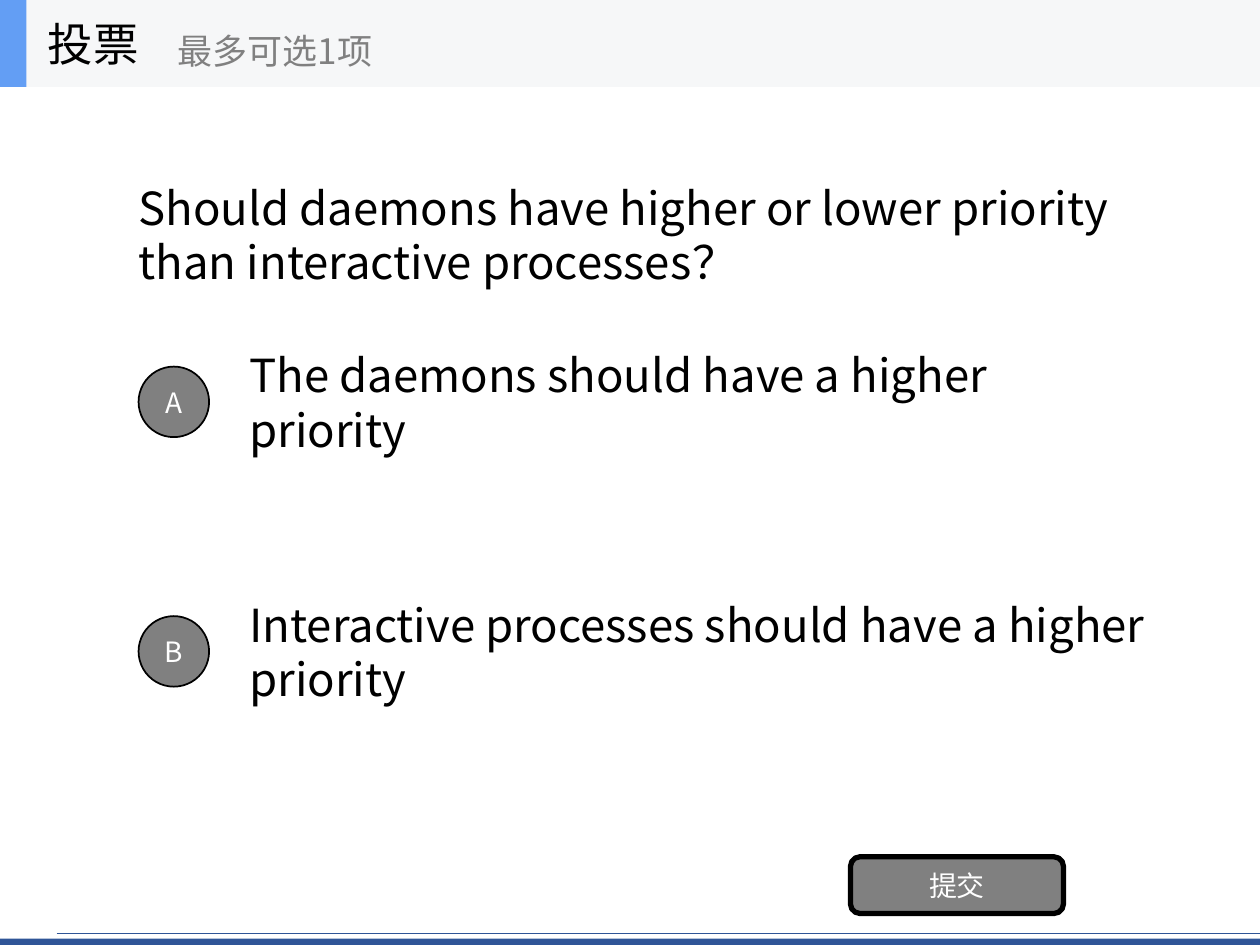
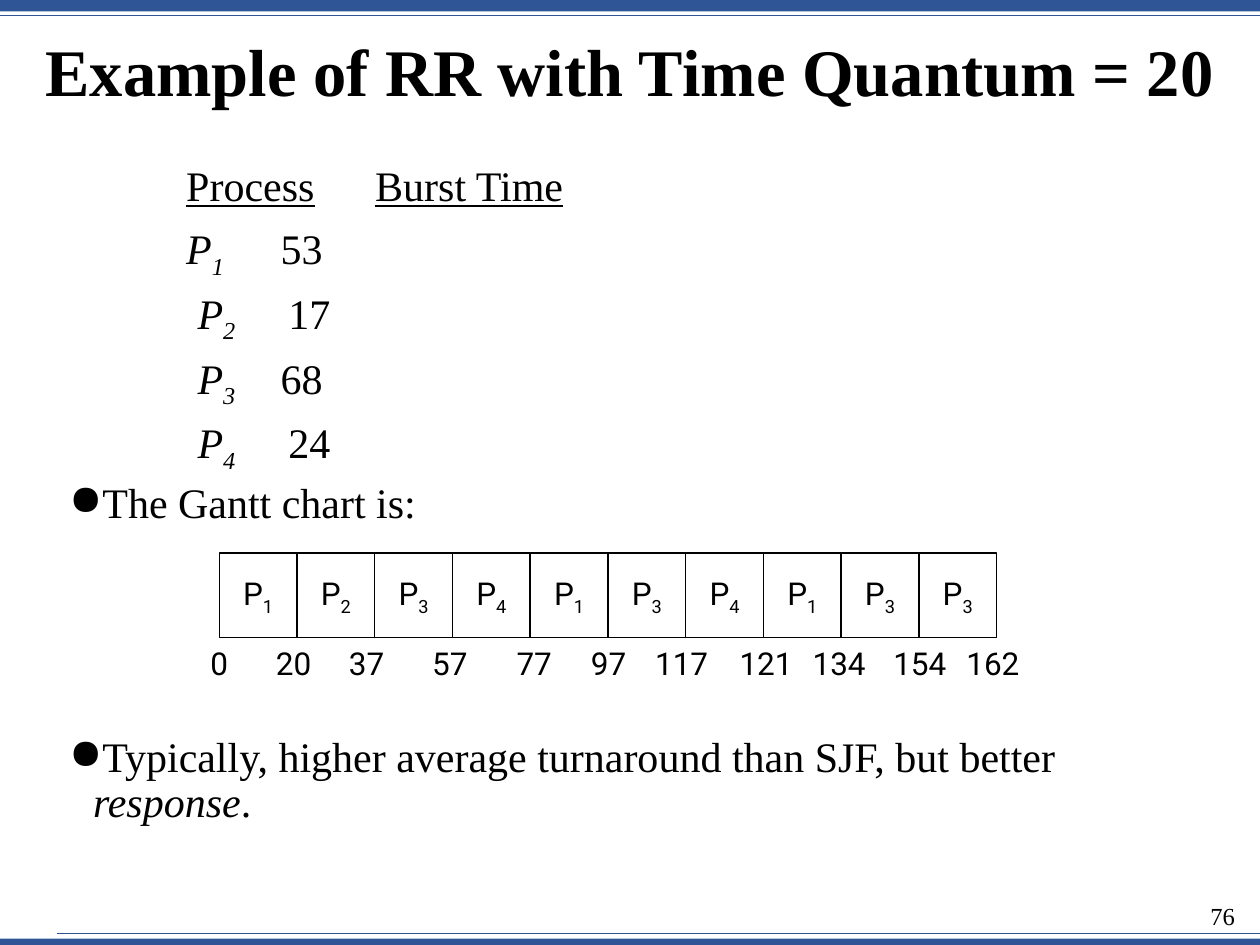
"""Build a poll slide and a round-robin scheduling slide."""
from pptx import Presentation
from pptx.dml.color import RGBColor
from pptx.enum.shapes import MSO_CONNECTOR, MSO_SHAPE
from pptx.enum.text import MSO_ANCHOR, PP_ALIGN
from pptx.oxml.ns import qn
from pptx.util import Inches, Pt
from lxml import etree

RECTANGLE, OVAL, ROUNDED = MSO_SHAPE.RECTANGLE, MSO_SHAPE.OVAL, MSO_SHAPE.ROUNDED_RECTANGLE
LEFT, CENTER, RIGHT = PP_ALIGN.LEFT, PP_ALIGN.CENTER, PP_ALIGN.RIGHT
TOP, MIDDLE = MSO_ANCHOR.TOP, MSO_ANCHOR.MIDDLE
STRAIGHT = MSO_CONNECTOR.STRAIGHT
COLORS = {
    "band": "2F5597", "accent": "639EF4", "header": "F6F7F8",
    "gray": "808080", "black": "000000", "white": "FFFFFF",
}
SANS, GANTT_FONT, SERIF = "Noto Sans CJK SC", "Roboto", "Times New Roman"


def add_box(slide, bounds, kind=None, fill=None, line=None, anchor=MIDDLE, wrap=True):
    """Add a text box, or a filled preset shape when a kind is given."""
    bounds = [Inches(value) for value in bounds]
    if kind is None:
        shape = slide.shapes.add_textbox(*bounds)
    else:
        shape = slide.shapes.add_shape(kind, *bounds)
        shape.shadow.inherit = False
        shape.fill.solid()
        shape.fill.fore_color.rgb = RGBColor.from_string(COLORS[fill])
        if line:
            shape.line.color.rgb = RGBColor.from_string(COLORS["black"])
            shape.line.width = Pt(line)
        else:
            shape.line.fill.background()
    shape.text_frame.word_wrap = wrap
    shape.text_frame.vertical_anchor = anchor
    return shape


def write(paragraph, runs, name, size, color="black", align=LEFT, bold=False):
    """Fill a paragraph with (text, style) runs: i italic, u underlined, s subscript."""
    paragraph.alignment = align
    font = paragraph.font
    font.name, font.size, font.bold = name, Pt(size), bold
    font.color.rgb = RGBColor.from_string(COLORS[color])
    defaults = paragraph._p.pPr.find(qn("a:defRPr"))
    defaults.find(qn("a:latin")).addnext(etree.Element(qn("a:ea"), typeface=name))
    for text, style in runs:
        run = paragraph.add_run()
        run.text = text
        if "i" in style:
            run.font.italic = True
        if "u" in style:
            run.font.underline = True
        if "s" in style:
            run._r.get_or_add_rPr().set("baseline", "-25000")


presentation = Presentation()
presentation.slide_width, presentation.slide_height = Inches(10), Inches(7.5)
blank = presentation.slide_layouts[6]
poll, round_robin = [presentation.slides.add_slide(blank) for _ in range(2)]

for slide in (poll, round_robin):
    for top, height in ((7.45, 0.05), (0, 0.09)):
        add_box(slide, (0, top, 10, height), RECTANGLE, "band")
    for left, top in ((0, 0.12), (0.45, 7.41)):
        rule = slide.shapes.add_connector(STRAIGHT, Inches(left), Inches(top), Inches(10), Inches(top))
        rule.line.color.rgb = RGBColor.from_string(COLORS["band"])
        rule.line.width = Pt(0.5)
        etree.SubElement(rule._element.spPr, qn("a:effectLst"))

question = "Should daemons have higher or lower priority than interactive processes？"
options = [
    ("A", "The daemons should have a higher priority", 2.84, 7),
    ("B", "Interactive processes should have a higher priority", 4.82, 7.66),
]
box = add_box(poll, (1, 0.69, 8, 2.34))
write(box.text_frame.paragraphs[0], [(question, "")], SANS, 26)
for letter, answer, top, width in options:
    box = add_box(poll, (1.88, top, width, 0.7))
    write(box.text_frame.paragraphs[0], [(answer, "")], SANS, 26)
    badge = add_box(poll, (1.1, top + 0.07, 0.56, 0.56), OVAL, "gray", 1)
    write(badge.text_frame.paragraphs[0], [(letter, "")], SANS, 16, "white", CENTER)
button = add_box(poll, (6.75, 6.8, 1.69, 0.45), ROUNDED, "gray", 3)
write(button.text_frame.paragraphs[0], [("提交", "")], SANS, 16, "white", CENTER)

add_box(poll, (0, 0, 10, 0.69), RECTANGLE, "header")
add_box(poll, (0, 0, 0.21, 0.69), RECTANGLE, "accent")
for text, bounds, size, color in (
    ("投票", (0.28, 0, 2.08, 0.69), 26, "black"),
    ("最多可选1项", (1.31, 0.12, 2.5, 0.56), 20, "gray"),
):
    box = add_box(poll, bounds)
    write(box.text_frame.paragraphs[0], [(text, "")], SANS, size, color)

page_number = add_box(round_robin, (9.36, 7.1, 0.54, 0.4), anchor=TOP)
write(page_number.text_frame.paragraphs[0], [("76", "")], SERIF, 14, align=RIGHT)
title = add_box(round_robin, (0, 0, 10, 1.19))
title.text_frame.paragraphs[0].line_spacing = 0.9
write(title.text_frame.paragraphs[0], [("Example of RR with Time Quantum = 20", "")],
      SERIF, 38, align=CENTER, bold=True)

burst_rows = [(1, "53", 0.93, 1.68), (2, "17", 1.02, 1.74), (3, "68", 1.02, 1.68), (4, "24", 1.02, 1.74)]
body_rows = [([("\t", ""), ("Process", "u"), ("\t", ""), ("Burst Time", "u")], (0.93, 2.43), 0)]
for number, burst, *tabs in burst_rows:
    body_rows.append(([("\t", ""), ("P", "i"), (f"{number}\t", "is"), (burst, "")], tabs, 7.5))
body_rows += [
    ([("The Gantt chart is:", "")], None, 7.5),
    ([("Typically, higher average turnaround than SJF, but better ", ""),
      ("response", "i"), (".", "")], None, 119),
]
frame = add_box(round_robin, (0.45, 1.26, 8.97, 5.64), anchor=TOP).text_frame
for index, (runs, tabs, space) in enumerate(body_rows):
    paragraph = frame.add_paragraph() if index else frame.paragraphs[0]
    paragraph.line_spacing = 0.9
    paragraph.space_before = Pt(space)
    properties = paragraph._p.get_or_add_pPr()
    if tabs:
        tab_list = etree.SubElement(properties, qn("a:tabLst"))
        for position in tabs:
            etree.SubElement(tab_list, qn("a:tab"), pos=str(Inches(position)), algn="l")
    else:
        properties.set("marL", str(Inches(0.19)))
        properties.set("indent", str(Inches(-0.19)))
        etree.SubElement(properties, qn("a:buChar"), char="●")
    write(paragraph, runs, SERIF, 24)

gantt_left, gantt_top, gantt_height = 1.74, 4.39, 0.67
cell_width = 6.17 / 10
for index, process in enumerate("1234134133"):
    cell = add_box(round_robin, (gantt_left + index * cell_width, gantt_top, cell_width, gantt_height),
                   RECTANGLE, "white", 0.75, wrap=False)
    write(cell.text_frame.paragraphs[0], [("P", ""), (process, "s")], GANTT_FONT, 18, align=CENTER)

switch_times = [
    (0, 1.74), (20, 2.33), (37, 2.91), (57, 3.57), (77, 4.24), (97, 4.83),
    (117, 5.41), (121, 6.08), (134, 6.66), (154, 7.3), (162, 7.88),
]
for time, center in switch_times:
    width = 0.2 + 0.14 * len(str(time))
    label = add_box(round_robin, (center - width / 2, gantt_top + gantt_height, width, 0.4), wrap=False)
    write(label.text_frame.paragraphs[0], [(str(time), "")], GANTT_FONT, 18, align=CENTER)

presentation.save("out.pptx")
